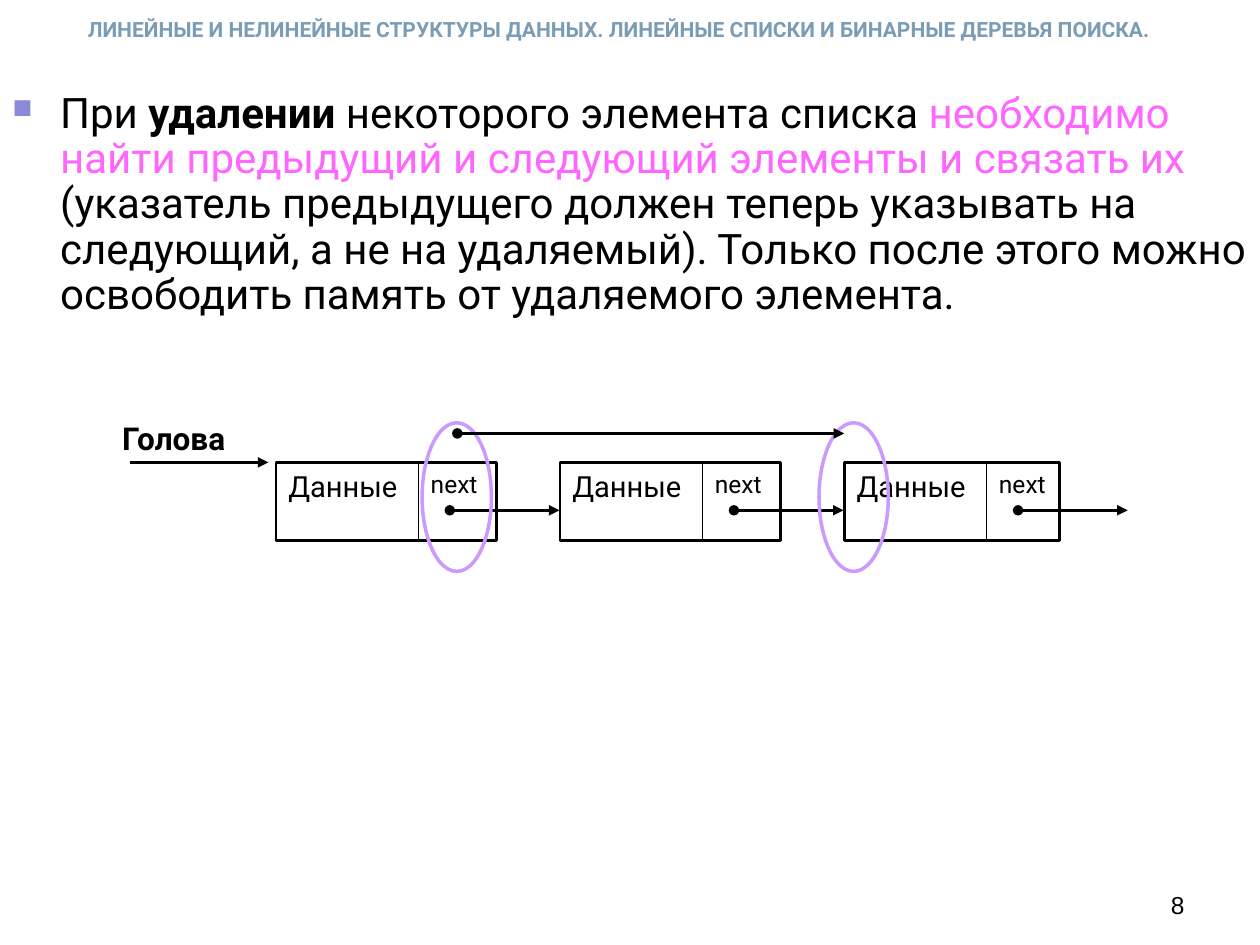
from lxml import etree
from pptx import Presentation, util as u
from pptx.dml.color import RGBColor
from pptx.enum import shapes as kinds, text as t
from pptx.oxml.ns import qn

BLACK = RGBColor(0, 0, 0)
WHITE = RGBColor(0xFF, 0xFF, 0xFF)
HEADING = RGBColor(0x7B, 0x9C, 0xB5)
PINK = RGBColor(0xFF, 0x66, 0xFF)
VIOLET = RGBColor(0xCC, 0x99, 0xFF)
BULLET = RGBColor(0x8A, 0x8A, 0xD8)


def inches(*lengths):
    return [u.Inches(length) for length in lengths]


def apply(target, formats):
    for attribute, value in formats.items():
        setattr(target, attribute, value)


def write(paragraph, words, size, color=BLACK, bold=False, font="Roboto"):
    run = paragraph.add_run()
    run.text = words
    apply(run.font, {"size": u.Pt(size), "bold": bold, "name": font})
    run.font.color.rgb = color


def outline(parts, kind, box, color, width, fill=None):
    figure = parts.add_shape(kind, *inches(*box))
    figure.shadow.inherit = False
    figure.line.color.rgb = color
    figure.line.width = u.Pt(width)
    if fill is None:
        figure.fill.background()
    else:
        figure.fill.solid()
        figure.fill.fore_color.rgb = fill
    return figure


def arrow(parts, start, end, width=1.5, dotted_start=True):
    link = parts.add_connector(kinds.MSO_CONNECTOR.STRAIGHT, *inches(*start, *end))
    link.line.color.rgb = BLACK
    link.line.width = u.Pt(width)
    line = link.line._get_or_add_ln()
    if dotted_start:
        etree.SubElement(line, qn("a:headEnd"), type="oval")
    etree.SubElement(line, qn("a:tailEnd"), type="triangle")
    etree.SubElement(link._element.spPr, qn("a:effectLst"))


def field(parts, box, words, size):
    cell = outline(parts, kinds.MSO_SHAPE.RECTANGLE, box, BLACK, 0.75, WHITE)
    apply(cell.text_frame, {"word_wrap": True, "vertical_anchor": t.MSO_ANCHOR.TOP})
    paragraph = cell.text_frame.paragraphs[0]
    paragraph.alignment = t.PP_ALIGN.LEFT
    write(paragraph, words, size)


def list_node(slide, left, top, width, height):
    parts = slide.shapes.add_group_shape().shapes
    data_width = 1.13
    pointer_left = left + data_width
    pointer_y = top + 0.38
    field(parts, (left, top, data_width, height), "Данные", 16.6)
    field(parts, (pointer_left, top, width - data_width, height), "next", 14)
    arrow(parts, (pointer_left + 0.25, pointer_y), (pointer_left + 1.12, pointer_y))
    outline(parts, kinds.MSO_SHAPE.RECTANGLE, (left, top, width, height), BLACK, 1.5)


def label(slide, box, words, formats, size, alignment, **look):
    area = slide.shapes.add_textbox(*inches(*box))
    apply(area.text_frame, formats)
    paragraph = area.text_frame.paragraphs[0]
    paragraph.alignment = alignment
    write(paragraph, words, size, **look)


def heading(slide, left, top, width, height):
    title = slide.shapes.title
    apply(title, dict(zip(("left", "top", "width", "height"),
                          inches(left, top, width, height))))
    apply(title.text_frame, {
        "word_wrap": True, "auto_size": t.MSO_AUTO_SIZE.NONE,
        "vertical_anchor": t.MSO_ANCHOR.MIDDLE,
        "margin_left": u.Inches(0.1), "margin_right": u.Inches(0.27),
        "margin_top": u.Inches(0.1), "margin_bottom": 0})
    paragraph = title.text_frame.paragraphs[0]
    paragraph.alignment = t.PP_ALIGN.CENTER
    write(paragraph, "ЛИНЕЙНЫЕ И НЕЛИНЕЙНЫЕ СТРУКТУРЫ ДАННЫХ. "
          "ЛИНЕЙНЫЕ СПИСКИ И БИНАРНЫЕ ДЕРЕВЬЯ ПОИСКА.", 12, HEADING, True)


def explanation(slide, left, top, width, height):
    area = slide.shapes.add_textbox(*inches(left, top, width, height))
    area.text_frame.word_wrap = True
    paragraph = area.text_frame.paragraphs[0]
    apply(paragraph, {"line_spacing": 0.9, "space_before": u.Pt(6)})
    properties = paragraph._p.get_or_add_pPr()
    indent = u.Inches(0.38)
    properties.set("marL", str(indent))
    properties.set("indent", str(-indent))
    bullet_color = etree.SubElement(properties, qn("a:buClr"))
    etree.SubElement(bullet_color, qn("a:srgbClr"), val=str(BULLET))
    etree.SubElement(properties, qn("a:buSzPct"), val="65000")
    etree.SubElement(properties, qn("a:buChar"), char="■")
    for words, color, bold in (
            ("При ", BLACK, False),
            ("удалении", BLACK, True),
            (" некоторого элемента списка ", BLACK, False),
            ("необходимо найти предыдущий и следующий элементы и связать их", PINK, False),
            (" (указатель предыдущего должен теперь указывать на следующий, "
             "а не на удаляемый). Только после этого можно освободить память "
             "от удаляемого элемента.", BLACK, False)):
        write(paragraph, words, 24, color, bold)


def linked_list(slide, left, top):
    node_top = top + 0.32
    first_node = left + 1.32
    for index, width in enumerate((1.75, 1.75, 1.71)):
        list_node(slide, first_node + index * 2.255, node_top, width, 0.62)
    arrow(slide.shapes, (left + 0.16, node_top), (left + 1.26, node_top),
          dotted_start=False)
    label(slide, (left, top - 0.07, 1.12, 0.4), "Голова", {"word_wrap": False},
          18, t.PP_ALIGN.LEFT, bold=True)
    for ring_left in (left + 2.48, left + 5.63):
        outline(slide.shapes, kinds.MSO_SHAPE.OVAL,
                (ring_left, top + 0.005, 0.55, 1.18), VIOLET, 2)
    bypass_y = top + 0.09
    arrow(slide.shapes, (left + 2.76, bypass_y), (left + 5.83, bypass_y), 2)


def main():
    deck = Presentation()
    apply(deck, {"slide_width": u.Inches(10), "slide_height": u.Inches(7.5)})
    slide = deck.slides.add_slide(deck.slide_layouts[5])
    heading(slide, 0, 0, 10, 0.36)
    explanation(slide, 0, 0.68, 10, 4.96)
    linked_list(slide, 0.87, 3.35)
    label(slide, (7.17, 6.83, 2.33, 0.52), "8",
          {"word_wrap": True, "vertical_anchor": t.MSO_ANCHOR.BOTTOM},
          14, t.PP_ALIGN.RIGHT, font="Arial")
    deck.save("out.pptx")


if __name__ == "__main__":
    main()
